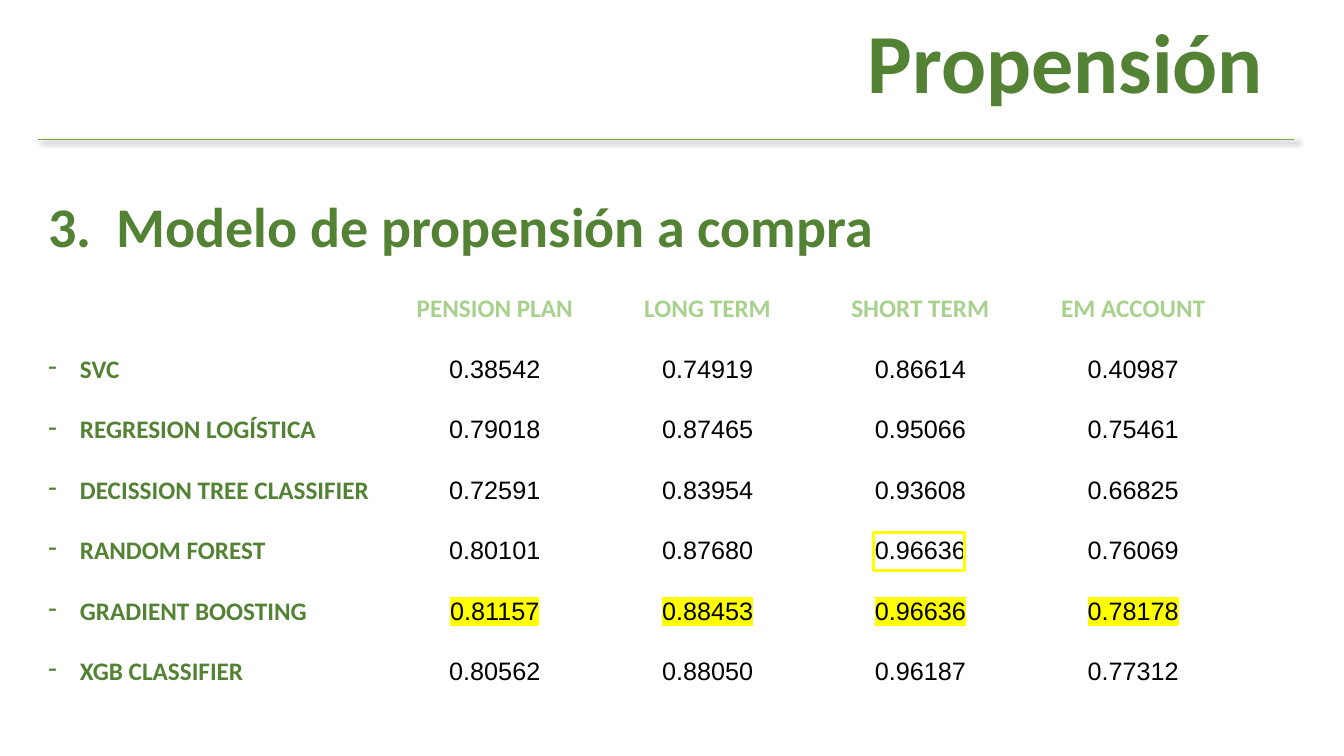
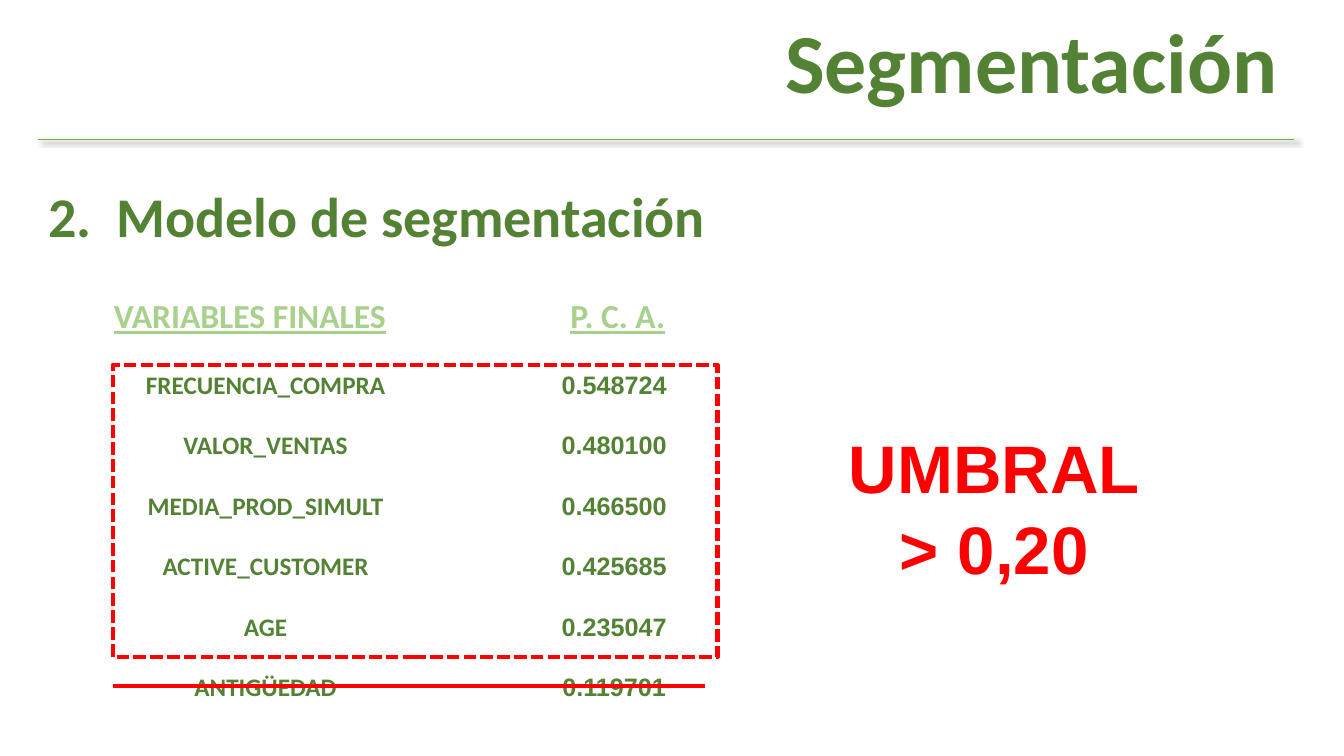
from dataclasses import dataclass

from lxml import etree
from pptx import Presentation
from pptx.dml.color import RGBColor
from pptx.enum.dml import MSO_LINE
from pptx.enum.shapes import MSO_CONNECTOR, MSO_SHAPE
from pptx.enum.text import MSO_ANCHOR, PP_ALIGN
from pptx.oxml.ns import qn
from pptx.util import Pt

LEFT, CENTER = PP_ALIGN.LEFT, PP_ALIGN.CENTER
TOP, MIDDLE = MSO_ANCHOR.TOP, MSO_ANCHOR.MIDDLE
STRAIGHT = MSO_CONNECTOR.STRAIGHT
RECTANGLE = MSO_SHAPE.RECTANGLE
SHORT_DASH = MSO_LINE.SQUARE_DOT
BLANK_LAYOUT = 6


@dataclass(frozen=True)
class Theme:
    heading_font: str = "Calibri"
    number_font: str = "Arial"
    green: str = "548235"
    rule_green: str = "70AD47"
    pale_green: str = "A9D18E"
    black: str = "000000"
    yellow: str = "FFFF00"
    red: str = "FF0000"
    title_size: int = 60
    section_size: int = 40
    callout_size: int = 48
    column_size: int = 24
    body_size: int = 18
    margin: float = 27.4
    right_edge: float = 924.5
    row_height: float = 43.2


THEME = Theme()


class Deck:
    def __init__(self, theme):
        self.theme = theme
        self.presentation = Presentation()
        self.presentation.slide_width = Pt(960)
        self.presentation.slide_height = Pt(540)
        self.slide = None

    def add_slide(self, title, title_left, section, section_top):
        """Start a slide with its title, shaded rule and section heading."""
        theme = self.theme
        layout = self.presentation.slide_layouts[BLANK_LAYOUT]
        self.slide = self.presentation.slides.add_slide(layout)
        heading = self.text(title, title_left, 10.5, theme.right_edge - title_left, 74,
                            theme.title_size, theme.green, anchor=MIDDLE)
        heading.text_frame.paragraphs[0].line_spacing = 0.9
        self.line(theme.margin, 99.4, theme.right_edge, theme.rule_green, 0.5, shadow=True)
        self.text(section, theme.margin, section_top, 683, 55.5,
                  theme.section_size, theme.green)

    def style(self, frame, size, color, font=None, bold=True, align=LEFT):
        for paragraph in frame.paragraphs:
            paragraph.alignment = align
            for run in paragraph.runs:
                run.font.name = font or self.theme.heading_font
                run.font.size = Pt(size)
                run.font.bold = bold
                run.font.color.rgb = RGBColor.from_string(color)

    def text(self, content, left, top, width, height, size, color,
             font=None, align=LEFT, anchor=TOP):
        box = self.slide.shapes.add_textbox(Pt(left), Pt(top), Pt(width), Pt(height))
        frame = box.text_frame
        frame.word_wrap = True
        frame.vertical_anchor = anchor
        frame.text = content
        self.style(frame, size, color, font, align=align)
        return box

    def line(self, left, top, right, color, weight, shadow=False):
        rule = self.slide.shapes.add_connector(STRAIGHT, Pt(left), Pt(top), Pt(right), Pt(top))
        rule.line.color.rgb = RGBColor.from_string(color)
        rule.line.width = Pt(weight)
        effects = etree.SubElement(rule._element.spPr, qn("a:effectLst"))
        if shadow:
            outer = etree.SubElement(effects, qn("a:outerShdw"), blurRad=str(Pt(4)),
                                     dist=str(Pt(3)), dir="2700000", algn="tl",
                                     rotWithShape="0")
            shade = etree.SubElement(outer, qn("a:srgbClr"), val=self.theme.black)
            etree.SubElement(shade, qn("a:alpha"), val="40000")

    def frame(self, left, top, width, height, color, weight, dash=None):
        outline = self.slide.shapes.add_shape(RECTANGLE, Pt(left), Pt(top),
                                              Pt(width), Pt(height))
        outline.shadow.inherit = False
        outline.fill.background()
        outline.line.color.rgb = RGBColor.from_string(color)
        outline.line.width = Pt(weight)
        if dash is not None:
            outline.line.dash_style = dash

    def table(self, rows, left, top, widths, style_cell):
        """Add a plain table; style_cell(frame, row, column) formats each cell."""
        height = self.theme.row_height
        table = self.slide.shapes.add_table(
            len(rows), len(widths), Pt(left), Pt(top),
            Pt(sum(widths)), Pt(height * len(rows))).table
        table.first_row = table.horz_banding = False
        for column, width in zip(table.columns, widths):
            column.width = Pt(width)
        for row_index, values in enumerate(rows):
            table.rows[row_index].height = Pt(height)
            for column_index, value in enumerate(values):
                cell = table.cell(row_index, column_index)
                cell.fill.background()
                cell.vertical_anchor = MIDDLE
                cell.text_frame.text = value
                style_cell(cell.text_frame, row_index, column_index)

    def dash_bullet(self, paragraph):
        properties = paragraph._p.get_or_add_pPr()
        indent = Pt(22.5)
        properties.set("marL", str(indent))
        properties.set("indent", str(-indent))
        etree.SubElement(properties, qn("a:buFontTx"))
        etree.SubElement(properties, qn("a:buChar"), char="-")

    def highlight(self, run):
        marker = etree.Element(qn("a:highlight"))
        etree.SubElement(marker, qn("a:srgbClr"), val=self.theme.yellow)
        run._r.get_or_add_rPr().find(qn("a:solidFill")).addnext(marker)


SCORES = [
    ("", "PENSION PLAN", "LONG TERM", "SHORT TERM", "EM ACCOUNT"),
    ("SVC", "0.38542", "0.74919", "0.86614", "0.40987"),
    ("REGRESION LOGÍSTICA", "0.79018", "0.87465", "0.95066", "0.75461"),
    ("DECISSION TREE CLASSIFIER", "0.72591", "0.83954", "0.93608", "0.66825"),
    ("RANDOM FOREST", "0.80101", "0.87680", "0.96636", "0.76069"),
    ("GRADIENT BOOSTING", "0.81157", "0.88453", "0.96636", "0.78178"),
    ("XGB CLASSIFIER", "0.80562", "0.88050", "0.96187", "0.77312"),
]
BEST_MODEL = "GRADIENT BOOSTING"

VARIABLE_WEIGHTS = [
    ("FRECUENCIA_COMPRA", "0.548724"),
    ("VALOR_VENTAS", "0.480100"),
    ("MEDIA_PROD_SIMULT", "0.466500"),
    ("ACTIVE_CUSTOMER", "0.425685"),
    ("AGE", "0.235047"),
    ("ANTIGÜEDAD", "0.119701"),
]


def add_propensity(deck):
    theme = deck.theme
    deck.add_slide("Propensión", 612.7, "3.  Modelo de propensión a compra", 133.2)

    def style_score(frame, row, column):
        if row == 0:
            deck.style(frame, theme.body_size, theme.pale_green, align=CENTER)
        elif column == 0:
            deck.style(frame, theme.body_size, theme.green)
            deck.dash_bullet(frame.paragraphs[0])
        else:
            deck.style(frame, theme.body_size, theme.black, theme.number_font,
                       bold=False, align=CENTER)
            if SCORES[row][0] == BEST_MODEL:
                deck.highlight(frame.paragraphs[0].runs[0])

    deck.table(SCORES, theme.margin, 199.2, [250] + [152] * 4, style_score)
    deck.frame(624.2, 380.2, 64.8, 27.4, theme.yellow, 2.25)


def add_segmentation(deck):
    theme = deck.theme
    deck.add_slide("Segmentación", 553.7, "2.  Modelo de segmentación", 126)

    def style_weight(frame, row, column):
        font = theme.number_font if column else theme.heading_font
        deck.style(frame, theme.body_size, theme.green, font, align=CENTER)

    for header, left in (("VARIABLES FINALES", 74.2), ("P. C. A.", 400.3)):
        box = deck.text(header, left, 207.4, 243, 36, theme.column_size, theme.pale_green)
        box.text_frame.paragraphs[0].runs[0].font.underline = True
    deck.table(VARIABLE_WEIGHTS, 65.2, 253.8, [249, 249], style_weight)
    deck.frame(80.6, 260.6, 432, 208.8, theme.red, 3, SHORT_DASH)
    deck.line(80.6, 490.3, 503.3, theme.red, 3)
    deck.text("UMBRAL\n> 0,20", 594.7, 301, 231, 124, theme.callout_size, theme.red,
              theme.number_font, CENTER)


def main():
    deck = Deck(THEME)
    add_propensity(deck)
    add_segmentation(deck)
    deck.presentation.save("out.pptx")


if __name__ == "__main__":
    main()
